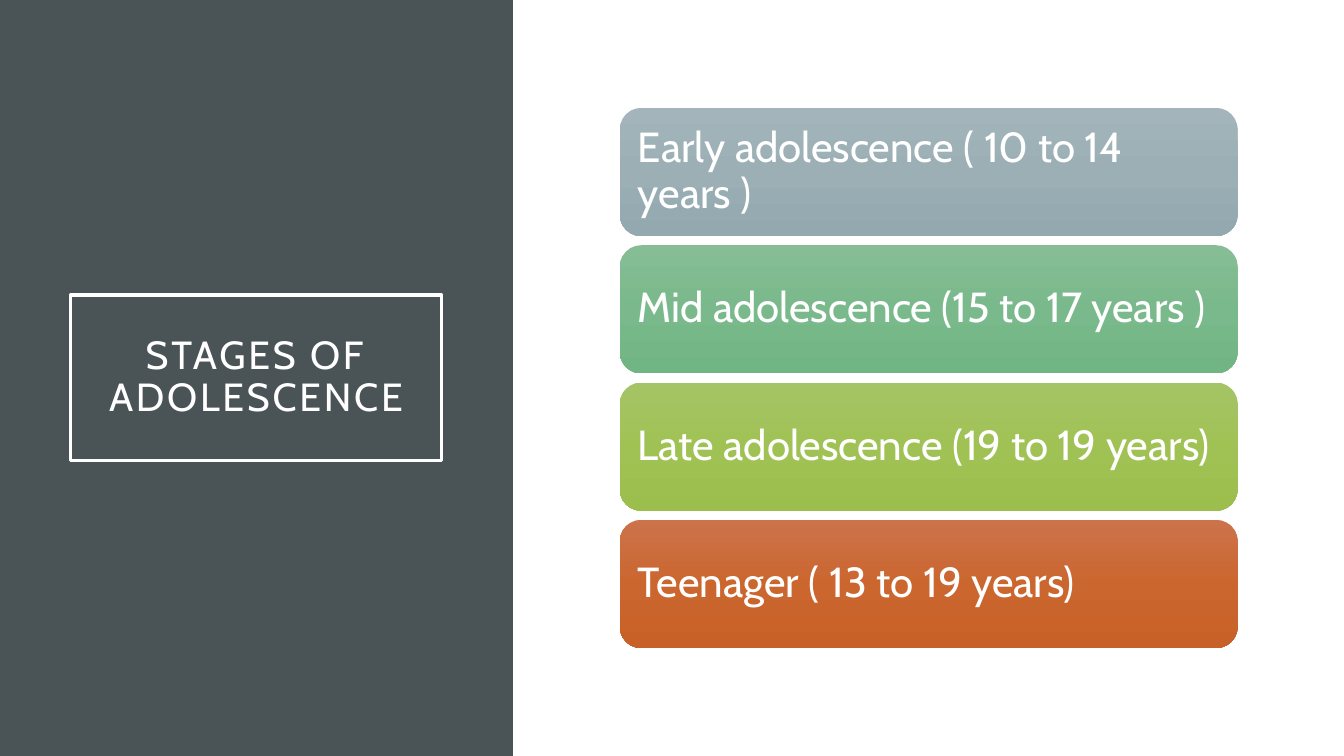
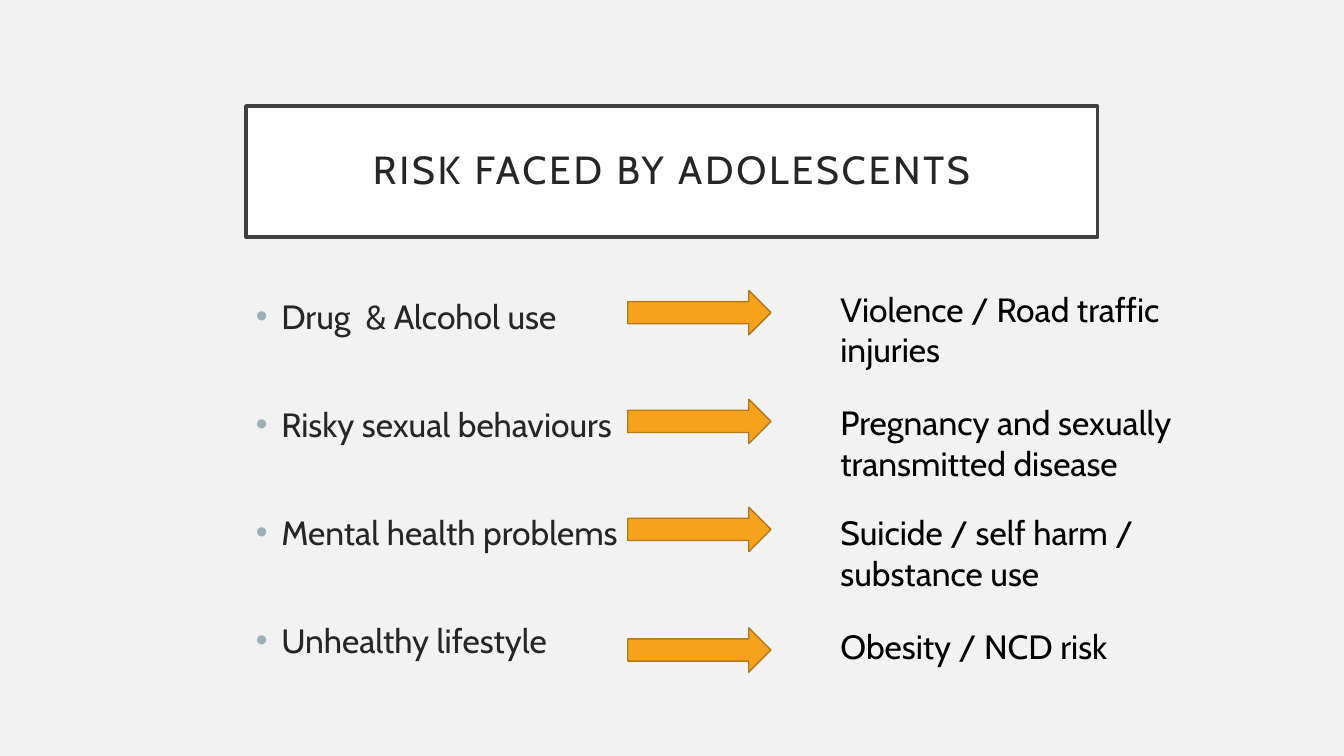
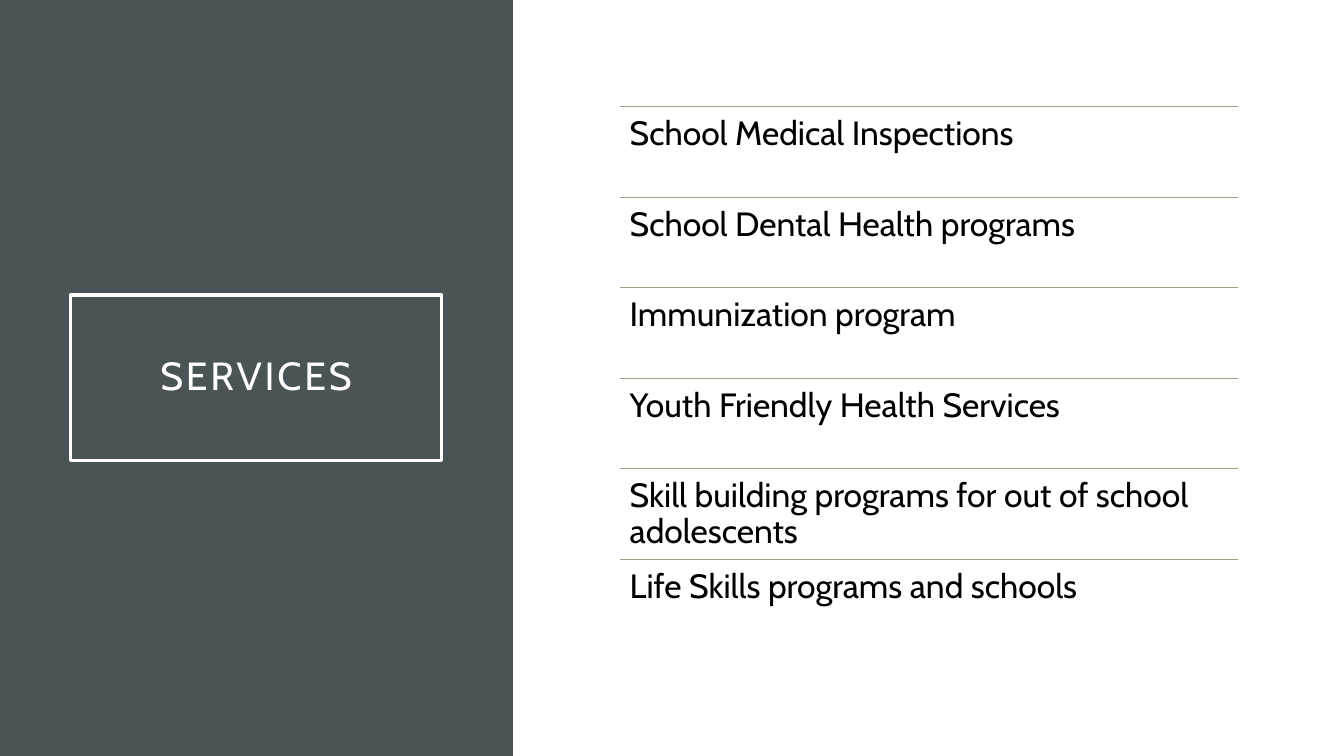
import copy

import lxml.etree
import pptx
import pptx.dml.color
import pptx.enum.shapes
import pptx.enum.text
import pptx.oxml.ns
import pptx.util

Cm = pptx.util.Cm
Pt = pptx.util.Pt
rgb = pptx.dml.color.RGBColor.from_string
qn = pptx.oxml.ns.qn
SHAPES = pptx.enum.shapes.MSO_SHAPE
ANCHOR = pptx.enum.text.MSO_ANCHOR
ALIGN = pptx.enum.text.PP_ALIGN

FONT = "Cabin"
COLORS = {
    "white": "FFFFFF",
    "pale": "F2F2F2",
    "panel": "4A5356",
    "frame": "404040",
    "ink": "262626",
    "black": "000000",
    "bullet": "9BAFB5",
    "arrow": "F6A21D",
    "arrow_edge": "B67815",
    "rule": "9CA383",
}


def write(box, lines, size, color, inset=None, anchor=ANCHOR.TOP,
          align=ALIGN.LEFT, spacing=1.0):
    """Fill a box with paragraphs in the deck font."""
    frame = box.text_frame
    frame.word_wrap = True
    frame.vertical_anchor = anchor
    if inset is not None:
        frame.margin_left = frame.margin_right = Cm(inset)
        frame.margin_top = frame.margin_bottom = Cm(inset)
    frame.text = "\n".join(lines)
    for para in frame.paragraphs:
        para.alignment = align
        para.line_spacing = spacing
        for span in para.runs:
            span.font.name = FONT
            span.font.size = Pt(size)
            span.font.color.rgb = rgb(COLORS[color])
    return frame


def add_page(title, side_panel):
    """Add a page with its framed title, beside or above the content."""
    page = deck.slides.add_slide(deck.slide_layouts[6])
    page.background.fill.solid()
    page.background.fill.fore_color.rgb = rgb(COLORS["white" if side_panel else "pale"])
    if side_panel:
        panel = page.shapes.add_shape(SHAPES.RECTANGLE, 0, 0, Cm(12.93), deck.slide_height)
        panel.shadow.inherit = False
        panel.fill.solid()
        panel.fill.fore_color.rgb = rgb(COLORS["panel"])
        panel.line.fill.background()
        place, fill, edge, ink = (1.78, 7.44, 9.35, 4.17), "panel", "white", "white"
    else:
        place, fill, edge, ink = (6.2, 2.67, 21.46, 3.3), "white", "frame", "ink"
    box = page.shapes.add_shape(SHAPES.RECTANGLE, *[Cm(length) for length in place])
    box.shadow.inherit = False
    box.fill.solid()
    box.fill.fore_color.rgb = rgb(COLORS[fill])
    box.line.color.rgb = rgb(COLORS[edge])
    box.line.width = Pt(2.5)
    frame = write(box, [title], 28, ink, 0.51, ANCHOR.MIDDLE, ALIGN.CENTER, 0.9)
    frame.paragraphs[0].runs[0].font._element.set("spc", "200")
    return page


deck = pptx.Presentation()
deck.slide_width = Cm(33.87)
deck.slide_height = Cm(19.05)

# Shared content column beside the panel
column_left, column_width = 15.62, 15.57

# Stages: a stack of gradient cards
page = add_page("STAGES OF ADOLESCENCE", True)
stages = [
    ("Early adolescence ( 10 to 14 years )", ("A3B5BB", "9BAFB5", "93A9AF")),
    ("Mid adolescence (15 to 17 years )", ("86BD95", "7AB98B", "72B584")),
    ("Late adolescence (19 to 19 years)", ("A5C466", "A0C255", "9BBE4D")),
    ("Teenager ( 13 to 19 years)", ("CC734B", "CB662F", "C86128")),
]
for index, (stage, shades) in enumerate(stages):
    card = page.shapes.add_shape(SHAPES.ROUNDED_RECTANGLE, Cm(column_left),
                                 Cm(2.72 + 3.46 * index), Cm(column_width), Cm(3.23))
    card.shadow.inherit = False
    card.line.fill.background()
    card.fill.gradient()
    card.fill.gradient_angle = 270
    stop_list = card._element.spPr.find(".//" + qn("a:gsLst"))
    stop_list.insert(1, copy.deepcopy(stop_list[0]))
    for stop, position, shade in zip(card.fill.gradient_stops, (0, 0.5, 1), shades):
        stop.position = position
        stop.color.rgb = rgb(shade)
    write(card, [stage], 30, "white", 0.3, ANCHOR.MIDDLE, spacing=0.9)

# Risks: bulleted causes, arrows and outcomes
page = add_page("RISK FACED BY ADOLESCENTS", False)
risks = [
    # cause, outcome, arrow top, outcome top
    ("Drug  & Alcohol use", "Violence / Road traffic injuries", 7.32, 7.16),
    ("Risky sexual behaviours", "Pregnancy and sexually transmitted disease", 10.06, 10.01),
    ("Mental health problems", "Suicide / self harm / substance use", 12.78, 12.78),
    ("Unhealthy lifestyle", "Obesity / NCD risk", 15.82, 15.65),
]
causes = page.shapes.add_textbox(Cm(6.2), Cm(7.32), Cm(25.2), Cm(10.21))
frame = write(causes, [risk[0] for risk in risks], 24, "ink")
for index, para in enumerate(frame.paragraphs):
    properties = para._p.get_or_add_pPr()
    properties.set("marL", str(Cm(0.64)))
    properties.set("indent", str(-Cm(0.64)))
    bullet_color = lxml.etree.SubElement(properties, qn("a:buClr"))
    lxml.etree.SubElement(bullet_color, qn("a:srgbClr")).set("val", COLORS["bullet"])
    lxml.etree.SubElement(properties, qn("a:buFont")).set("typeface", "Arial")
    lxml.etree.SubElement(properties, qn("a:buChar")).set("char", "•")
    if index:
        para.space_before = Pt(48.4)

for cause, outcome, arrow_top, outcome_top in risks:
    arrow = page.shapes.add_shape(SHAPES.RIGHT_ARROW, Cm(15.82), Cm(arrow_top),
                                  Cm(3.61), Cm(1.12))
    arrow.shadow.inherit = False
    arrow.fill.solid()
    arrow.fill.fore_color.rgb = rgb(COLORS["arrow"])
    arrow.line.color.rgb = rgb(COLORS["arrow_edge"])
    arrow.line.width = Pt(1)
    box = page.shapes.add_textbox(Cm(20.93), Cm(outcome_top), Cm(9.1), Cm(2.31))
    write(box, [outcome], 24, "black")

# Services: a ruled list
page = add_page("SERVICES", True)
services = [
    "School Medical Inspections",
    "School Dental Health programs",
    "Immunization program",
    "Youth Friendly Health Services",
    "Skill building programs for out of school adolescents",
    "Life Skills programs and schools",
]
row_height = 2.28
for index, service in enumerate(services):
    top = Cm(2.69 + row_height * index)
    rule = page.shapes.add_connector(pptx.enum.shapes.MSO_CONNECTOR.STRAIGHT,
                                     Cm(column_left), top,
                                     Cm(column_left + column_width), top)
    rule.line.color.rgb = rgb(COLORS["rule"])
    rule.line.width = Pt(0.5)
    lxml.etree.SubElement(rule._element.spPr, qn("a:effectLst"))
    box = page.shapes.add_textbox(Cm(column_left), top, Cm(column_width), Cm(row_height))
    write(box, [service], 24, "black", 0.25, spacing=0.9)

deck.save("out.pptx")
